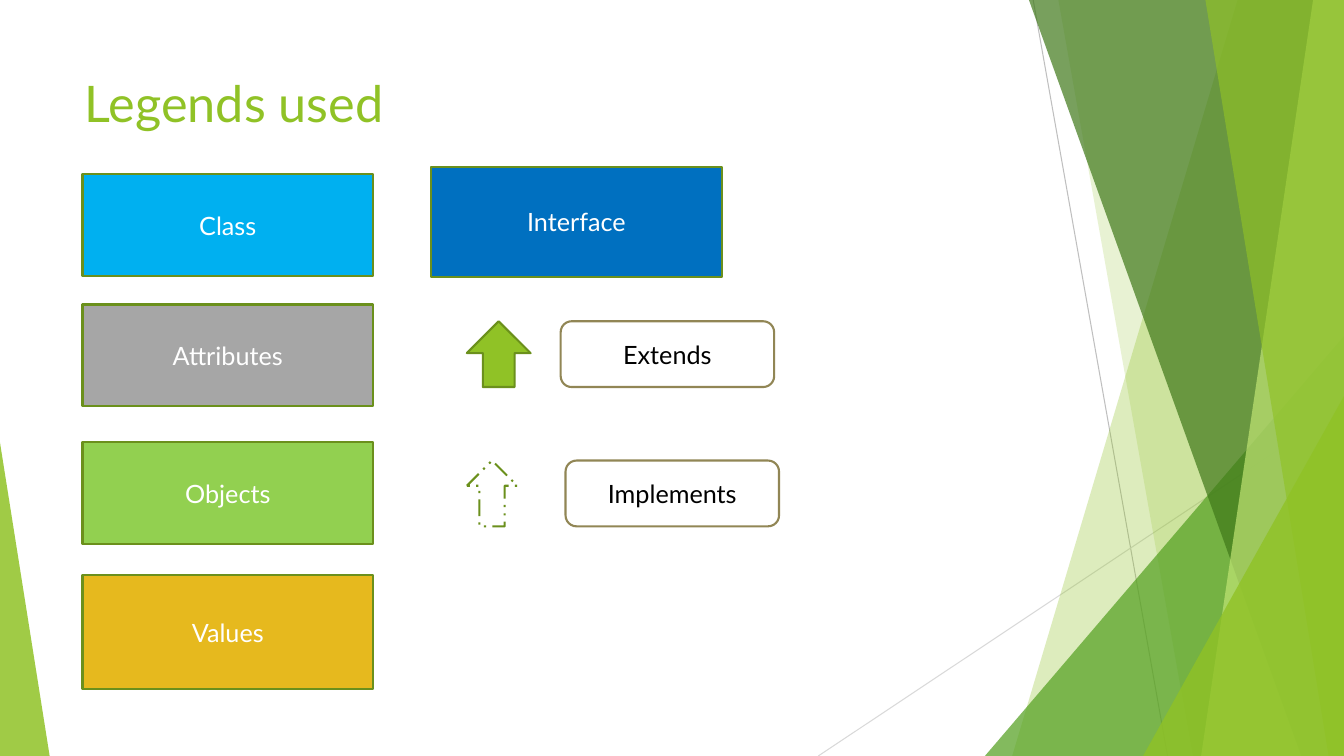
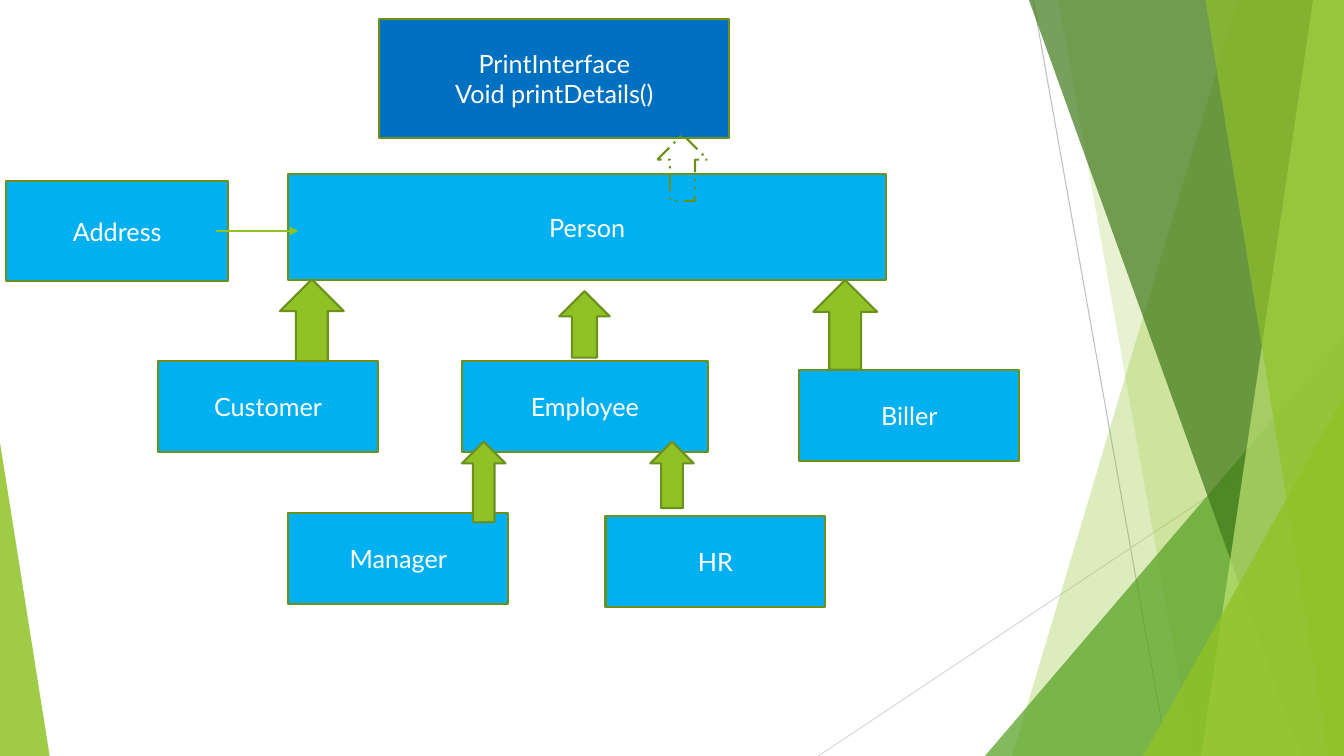
from lxml.etree import SubElement
from pptx import Presentation
from pptx.dml.color import RGBColor
from pptx.enum.dml import MSO_LINE
from pptx.enum.shapes import MSO_CONNECTOR, MSO_SHAPE
from pptx.enum.text import MSO_ANCHOR, PP_ALIGN
from pptx.oxml.ns import qn
from pptx.util import Pt

FONT = "Lato"
GREEN, DARK_GREEN, OLIVE = "90C226", "6B901C", "918655"
SKY, BLUE, GRAY, LIME, GOLD = "00B0F0", "0070C0", "A6A6A6", "92D050", "E6B91E"
WHITE, BLACK = "FFFFFF", "000000"


def style(sp, fill=None, line=None, opacity=100, dash=None, text="", ink=WHITE):
    """Set fill, outline and centred text; each line of text is a paragraph."""
    sp.shadow.inherit = False
    if fill:
        sp.fill.solid()
        sp.fill.fore_color.rgb = RGBColor.from_string(fill)
        if opacity < 100:
            clr = sp.element.spPr.find(f"{qn('a:solidFill')}/{qn('a:srgbClr')}")
            SubElement(clr, qn("a:alpha"), val=str(opacity * 1000))
    else:
        sp.fill.background()
    if line:
        sp.line.color.rgb = RGBColor.from_string(line)
        sp.line.width = Pt(1.5)
        if dash:
            sp.line.dash_style = dash
    else:
        sp.line.fill.background()
    if text:
        tf = sp.text_frame
        tf.word_wrap = True
        tf.vertical_anchor = MSO_ANCHOR.MIDDLE
        for i, words in enumerate(text.split("\n")):
            p = tf.add_paragraph() if i else tf.paragraphs[0]
            p.alignment = PP_ALIGN.CENTER
            r = p.add_run()
            r.text = words
            r.font.name, r.font.size = FONT, Pt(18)
            r.font.color.rgb = RGBColor.from_string(ink)


def add_line(s, x1, y1, x2, y2, color, width, arrow=False):
    cx = s.shapes.add_connector(MSO_CONNECTOR.STRAIGHT, Pt(x1), Pt(y1), Pt(x2), Pt(y2))
    cx.line.color.rgb = RGBColor.from_string(color)
    cx.line.width = Pt(width)
    if arrow:
        SubElement(cx.element.spPr.find(qn("a:ln")), qn("a:tailEnd"), type="triangle")
    SubElement(cx.element.spPr, qn("a:effectLst"))


prs = Presentation()
W, H = 960, 540
prs.slide_width, prs.slide_height = Pt(W), Pt(H)
layout = prs.slide_layouts[6]
layout_tree = layout.shapes.element
for ph in list(layout.placeholders):
    layout_tree.remove(ph.element)

# Shared decoration: drawn on the first slide, then moved to the layout
s = prs.slides.add_slide(layout)
add_line(s, 738, 0, 834, H, "BFBFBF", 0.75)
add_line(s, W, 290, 584.5, H, "D9D9D9", 0.75)

# A band has its left edge's top and bottom x; a triangle has its box and apex
decoration = [
    ("band", (884, 723), GREEN, 30),
    ("band", (756, 852), GREEN, 20),
    ("triangle", (703.5, 240, 256.5, 300, 1), "54A021", 72),
    ("band", (735, 929.5), "3F7819", 70),
    ("band", (938, 858), "C0E474", 70),
    ("band", (861, 949), GREEN, 65),
    ("triangle", (816.5, 283, 143.5, 257, 1), GREEN, 80),
    ("triangle", (0, 316, 35.5, 224, 0), GREEN, 85),
]
for kind, geometry, color, opacity in decoration:
    if kind == "band":
        top, bottom = geometry
        outline = s.shapes.build_freeform(Pt(top), 0)
        outline.add_line_segments([(Pt(W), 0), (Pt(W), Pt(H)), (Pt(bottom), Pt(H))])
        sp = outline.convert_to_shape()
    else:
        *box, apex = geometry
        sp = s.shapes.add_shape(MSO_SHAPE.ISOSCELES_TRIANGLE, *map(Pt, box))
        sp.adjustments[0] = apex
    style(sp, color, opacity=opacity)
for sp in list(s.shapes):
    layout_tree.insert_element_before(sp.element, "p:extLst")

# Slide 1: legend
tb = s.shapes.add_textbox(Pt(53.5), Pt(48), Pt(677), Pt(104))
tb.text_frame.word_wrap = True
r = tb.text_frame.paragraphs[0].add_run()
r.text = "Legends used"
r.font.name, r.font.size = FONT, Pt(36)
r.font.color.rgb = RGBColor.from_string(GREEN)

legend_boxes = [
    ("Class", 59, 124.5, 72.5, SKY),
    ("Attributes", 59, 217.5, 72.5, GRAY),
    ("Objects", 59, 316, 72.5, LIME),
    ("Values", 59, 411, 81, GOLD),
    ("Interface", 308, 119, 79, BLUE),
]
for text, x, y, h, color in legend_boxes:
    sp = s.shapes.add_shape(MSO_SHAPE.RECTANGLE, Pt(x), Pt(y), Pt(207.5), Pt(h))
    style(sp, color, DARK_GREEN, text=text)

legend_arrows = [
    ("Extends", 400.5, 229.5, 45.5, GREEN, None),
    ("Implements", 404, 329, 36, None, MSO_LINE.DASH_DOT_DOT),
]
for text, x, y, arrow_w, color, dash in legend_arrows:
    sp = s.shapes.add_shape(MSO_SHAPE.UP_ARROW, Pt(333.5), Pt(y), Pt(arrow_w), Pt(47))
    style(sp, color, DARK_GREEN, dash=dash)
    sp = s.shapes.add_shape(MSO_SHAPE.ROUNDED_RECTANGLE, Pt(x), Pt(y), Pt(152.5), Pt(47))
    style(sp, WHITE, OLIVE, text=text, ink=BLACK)

# Slide 2: class diagram
s = prs.slides.add_slide(layout)
class_boxes = [
    ("Customer", 113, 258, 157, 65, SKY),
    ("Employee", 330, 258, 175.5, 65, SKY),
    ("Biller", 571, 264.5, 157, 65, SKY),
    ("Manager", 206, 366.5, 157, 65, SKY),
    ("HR", 432.5, 368.5, 157, 65, SKY),
    ("Person", 206, 124.5, 427, 75.5, SKY),
    ("Address", 4.5, 129.5, 158.5, 71.5, SKY),
    ("PrintInterface\nVoid printDetails()", 271, 13.5, 250, 85, BLUE),
]
for text, *box, color in class_boxes:
    sp = s.shapes.add_shape(MSO_SHAPE.RECTANGLE, *map(Pt, box))
    style(sp, color, DARK_GREEN, text=text)

class_arrows = [
    (399.5, 208, 36, 47.5, GREEN, None),
    (200, 199.5, 45.5, 58.5, GREEN, None),
    (581, 200, 45.5, 64, GREEN, None),
    (330, 315.5, 31, 57.5, GREEN, None),
    (464.5, 315.5, 31, 47.5, GREEN, None),
    (469.5, 96, 36, 47.5, None, MSO_LINE.DASH_DOT_DOT),
]
for *box, color, dash in class_arrows:
    sp = s.shapes.add_shape(MSO_SHAPE.UP_ARROW, *map(Pt, box))
    style(sp, color, DARK_GREEN, dash=dash)
add_line(s, 154, 165, 213, 165, GREEN, 1, arrow=True)

prs.save("out.pptx")
